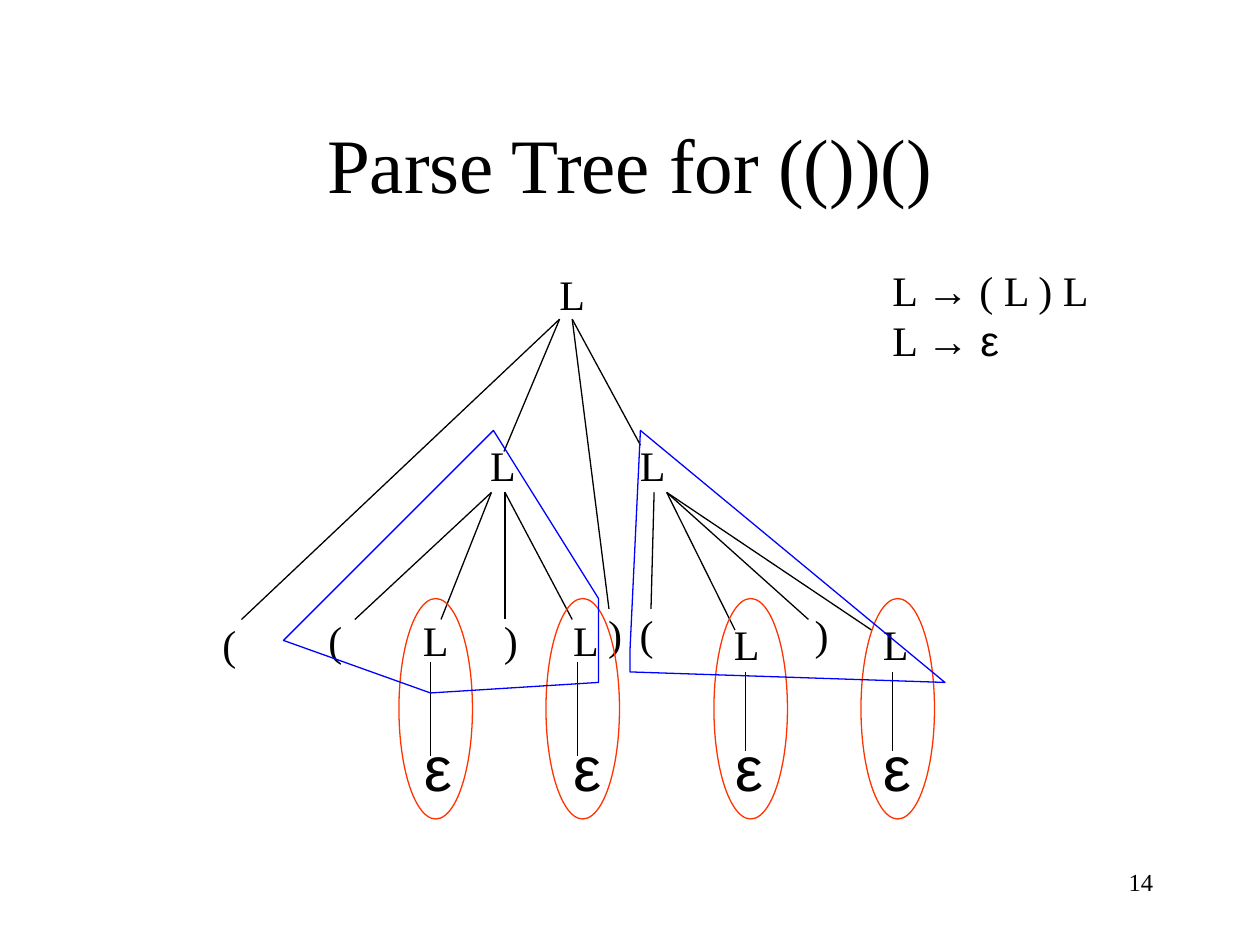
from dataclasses import dataclass
from lxml import etree
from pptx import Presentation
from pptx.dml.color import RGBColor
from pptx.enum.shapes import MSO_CONNECTOR, MSO_SHAPE
from pptx.enum.text import MSO_ANCHOR, PP_ALIGN
from pptx.oxml.ns import qn
from pptx.util import Inches, Pt

LINE, OVAL = MSO_CONNECTOR.STRAIGHT, MSO_SHAPE.OVAL
MID = MSO_ANCHOR.MIDDLE
LEFT, MIDDLE, RIGHT = PP_ALIGN.LEFT, PP_ALIGN.CENTER, PP_ALIGN.RIGHT


@dataclass(frozen=True)
class Theme:
    ink = RGBColor(0, 0, 0)
    red = RGBColor(0xFF, 0x33, 0)
    blue = RGBColor(0, 0, 0xFF)
    serif = "Times New Roman"
    sans = "Arial"
    head = Pt(44)
    big = Pt(36)
    body = Pt(24)
    small = Pt(14)
    pen = Pt(0.75)


look = Theme()
deck = Presentation()
deck.slide_width, deck.slide_height = Inches(10), Inches(7.5)
col, row = deck.slide_width / 120, deck.slide_height / 90
slide = deck.slides.add_slide(deck.slide_layouts[5])
shapes = slide.shapes


def write(box, lines, size, face=look.serif, align=LEFT):
    frame = box.text_frame
    frame.word_wrap = True
    frame.vertical_anchor = MID
    frame.text = "\n".join(lines)
    for para in frame.paragraphs:
        para.alignment = align
        para.font.size, para.font.name = size, face
        para.font.color.rgb = look.ink


def place(x, y, wide, high):
    return int(x * col), int(y * row), int(wide * col), int(high * row)


title = shapes.title
title.left, title.top, title.width, title.height = place(9, 8, 102, 15)
write(title, ["Parse Tree for (())()"], look.head, align=MIDDLE)

page = shapes.add_textbox(*place(86, 82, 25, 6))
write(page, ["14"], look.small, align=RIGHT)
page.text_frame.vertical_anchor = MSO_ANCHOR.TOP

wide = {"L": 4, "(": 3.1, ")": 5.1}
nodes = [
    ("L", 52.1, 24.6), ("L", 45.5, 40.9), ("L", 59.75, 40.9),
    ("(", 20, 58), (")", 56.75, 57),
    ("(", 30.1, 57.6), ("L", 39.1, 57.6), (")", 46.8, 57.6), ("L", 53.4, 57.6),
    ("(", 59.75, 57), ("L", 68.7, 58), (")", 76.4, 57), ("L", 82.9, 58),
]
for mark, x, y in nodes:
    write(shapes.add_textbox(*place(x, y, wide[mark], 6.7)), [mark], look.body)

edges = [
    (53.3, 30.4, 23, 59), (53.3, 30.4, 48, 43),
    (54.5, 30.4, 58, 58), (54.5, 30.4, 61, 42.4),
    (46.8, 46.9, 33.8, 59), (46.8, 46.9, 42, 59),
    (48.1, 46.9, 48.1, 59), (48.1, 46.9, 54.5, 59),
    (62.3, 46.9, 62, 58), (63.5, 46.9, 70, 60),
    (63.5, 46.9, 77, 59), (63.5, 46.9, 83, 60),
]
leaves = [(38, 39.2, 63, 72), (52, 53.4, 63, 72),
          (68, 68.8, 64, 71.5), (82, 82.9, 64, 71.5)]
for left, x, top, end in leaves:
    write(shapes.add_textbox(*place(x, 68.2, 3.8, 9.5)), ["ε"], look.big, look.sans)
    edges.append((left + 3, top, left + 3, end))

for edge in edges:
    line = shapes.add_connector(LINE, *place(*edge))
    line.line.color.rgb, line.line.width = look.ink, look.pen
    etree.SubElement(line._element.spPr, qn("a:effectLst"))

rings = [(shapes.add_shape(OVAL, *place(left, 57, 7, 21)), look.red)
         for left, *rest in leaves]
areas = [
    [(47, 41), (27, 61), (41, 66), (57, 65), (57, 57)],
    [(61, 41), (60, 62), (60, 64), (90, 65)],
]
for area in areas:
    spots = [(int(x * col), int(y * row)) for x, y in area]
    path = shapes.build_freeform(*spots[0])
    path.add_line_segments(spots[1:], close=True)
    rings.append((path.convert_to_shape(), look.blue))
for ring, tint in rings:
    ring.shadow.inherit = False
    ring.fill.background()
    ring.line.color.rgb, ring.line.width = tint, look.pen

rules = shapes.add_textbox(*place(83.8, 24.6, 21.4, 10.8))
write(rules, ["", ""], look.body)
parts = [
    [("L ", look.serif), ("→", look.sans), (" ( L ) L", look.serif)],
    [("L ", look.serif), ("→ ε", look.sans)],
]
for para, bits in zip(rules.text_frame.paragraphs, parts):
    for text, face in bits:
        run = para.add_run()
        run.text, run.font.name = text, face

deck.save("out.pptx")
